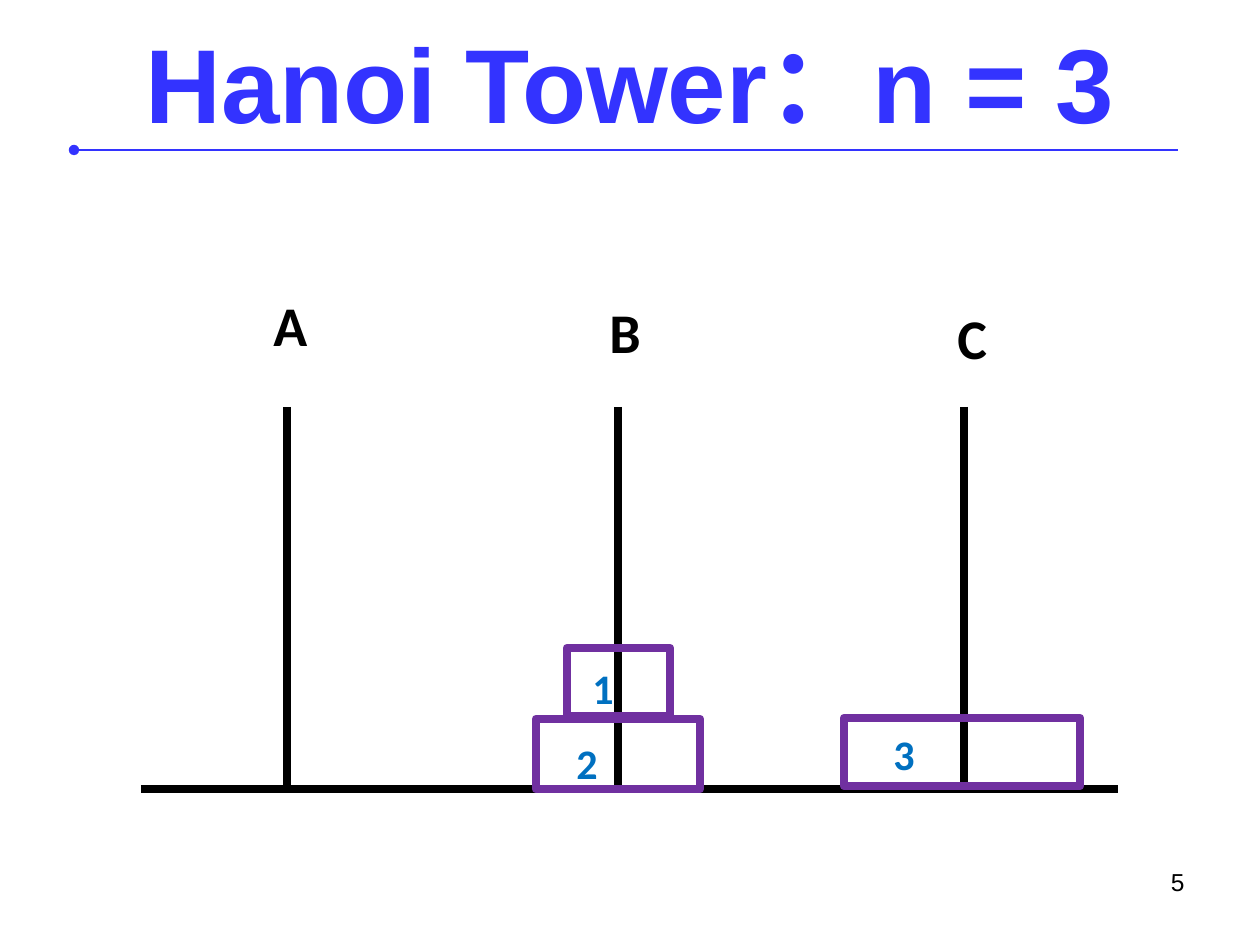
from lxml.etree import SubElement
from pptx import Presentation
from pptx.dml.color import RGBColor
from pptx.enum.shapes import MSO_CONNECTOR, MSO_SHAPE
from pptx.enum.text import MSO_ANCHOR, MSO_AUTO_SIZE, PP_ALIGN
from pptx.oxml.ns import qn
from pptx.util import Emu, Pt

BLUE = RGBColor(0x33, 0x33, 0xFF)
BLACK = RGBColor(0, 0, 0)
PURPLE = RGBColor(0x70, 0x30, 0xA0)
DIGIT_BLUE = RGBColor(0x00, 0x70, 0xC0)
PX_PER_INCH = 126
PEG_TOP, BASE_Y = 407, 789
PEGS = {"A": (287, 261, 284), "B": (618, 597, 291), "C": (964, 945, 297)}
DISCS = {
    "1": ((567, 648, 103, 68), (580, 656)),
    "2": ((536, 719, 164, 70), (564, 731)),
    "3": ((844, 718, 236, 68), (881, 722)),
}


def px(length):
    """Turn px into EMU."""
    return Emu(round(length * 914400 / PX_PER_INCH))


def set_text(frame, text, size, color=BLACK, font="Calibri", bold=True,
             align=PP_ALIGN.LEFT, anchor=MSO_ANCHOR.TOP, wrap=True):
    """Write one formatted paragraph into a text frame."""
    frame.auto_size = MSO_AUTO_SIZE.NONE
    frame.word_wrap = wrap
    frame.vertical_anchor = anchor
    paragraph = frame.paragraphs[0]
    paragraph.alignment = align
    run = paragraph.add_run()
    run.text = text
    run.font.name = font
    run.font.size = Pt(size)
    run.font.bold = bold
    run.font.color.rgb = color


def add_label(slide, box, text, size, **text_format):
    """Add a text box at a px box."""
    label = slide.shapes.add_textbox(*map(px, box))
    set_text(label.text_frame, text, size, **text_format)


def add_line(slide, start, end, color=BLACK, width=5, head=None):
    """Add a straight line, with an optional head at its start."""
    line = slide.shapes.add_connector(
        MSO_CONNECTOR.STRAIGHT, *map(px, (*start, *end)))
    line.line.color.rgb = color
    line.line.width = Pt(width)
    if head:
        SubElement(line.line._get_or_add_ln(), qn("a:headEnd"), type=head)
    SubElement(line._element.spPr, qn("a:effectLst"))
    return line


def add_disc(slide, box):
    """Add an outlined disc at a px box."""
    disc = slide.shapes.add_shape(MSO_SHAPE.RECTANGLE, *map(px, box))
    disc.shadow.inherit = False
    disc.fill.background()
    disc.line.color.rgb = PURPLE
    disc.line.width = Pt(5)
    return disc


def add_title(slide):
    """Place the title over its rule."""
    add_line(slide, (74, 150), (1178, 150), color=BLUE, width=1.5, head="oval")
    title = slide.shapes.title
    title.left, title.top, title.width, title.height = map(
        px, (87, 50, 1086, 101))
    set_text(title.text_frame, "Hanoi Tower：n = 3", 60, color=BLUE,
             font="Arial", align=PP_ALIGN.CENTER, anchor=MSO_ANCHOR.BOTTOM)


def add_tower(slide):
    """Draw the base, the pegs and the numbered discs."""
    add_line(slide, (141, BASE_Y), (1118, BASE_Y))
    pegs = {name: add_line(slide, (x, PEG_TOP), (x, BASE_Y))
            for name, (x, _, _) in PEGS.items()}
    discs = {}
    for number, (box, corner) in DISCS.items():
        discs[number] = add_disc(slide, box)
        add_label(slide, (*corner, 29, 64), number, 24, color=DIGIT_BLUE)
    pegs["B"].end_connect(discs["2"], 2)
    for name, (_, left, top) in PEGS.items():
        add_label(slide, (left, top, 43, 81), name, 32, wrap=False)


def main():
    """Build and save the slide."""
    deck = Presentation()
    deck.slide_width, deck.slide_height = px(1260), px(945)
    slide = deck.slides.add_slide(deck.slide_layouts[5])
    add_title(slide)
    add_tower(slide)
    add_label(slide, (903, 861, 294, 66), "5", 14, font="Arial", bold=False,
              align=PP_ALIGN.RIGHT)
    deck.save("out.pptx")


if __name__ == "__main__":
    main()
